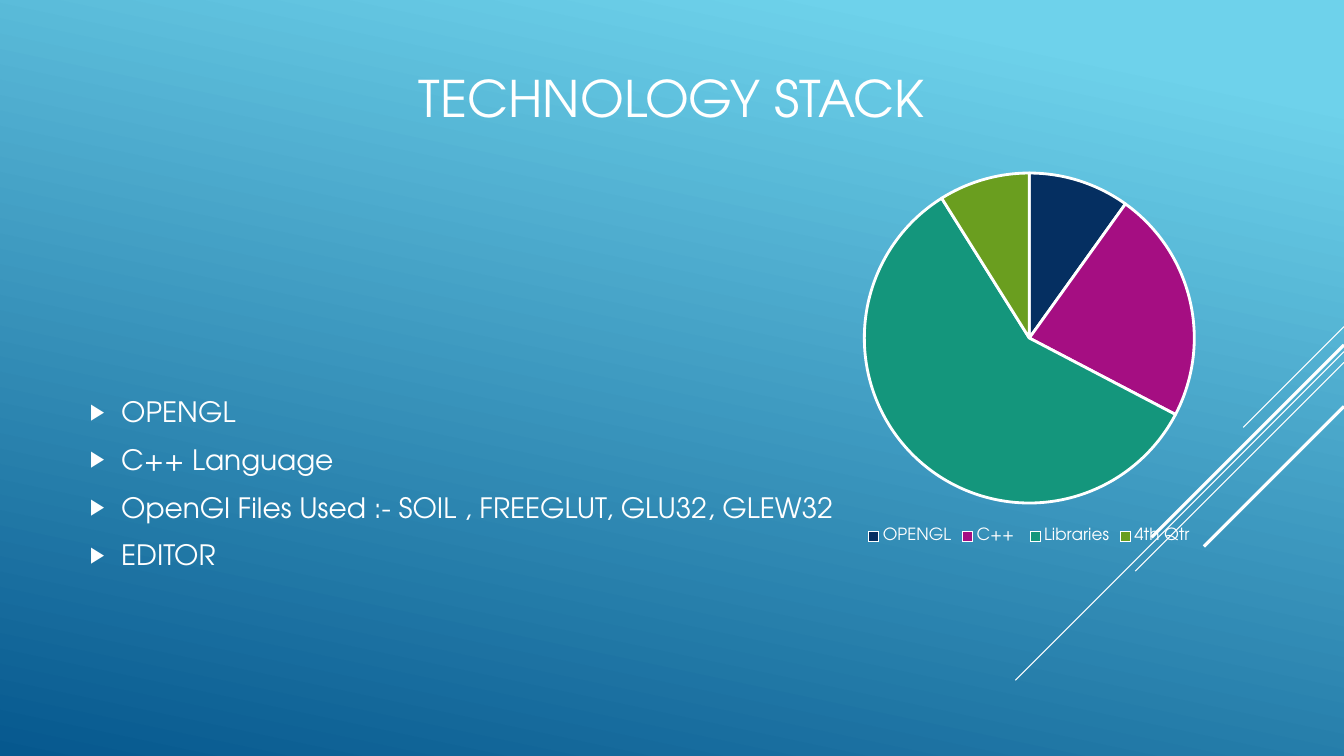
from dataclasses import dataclass

from lxml.etree import SubElement
from pptx import Presentation
from pptx.chart.data import CategoryChartData
from pptx.dml.color import RGBColor
from pptx.enum.chart import XL_CHART_TYPE, XL_LEGEND_POSITION
from pptx.enum.shapes import MSO_CONNECTOR
from pptx.enum.text import MSO_ANCHOR, MSO_AUTO_SIZE, PP_ALIGN
from pptx.oxml.ns import qn
from pptx.util import Cm, Pt

FONT = "TeX Gyre Adventor"
COLOURS = {
    "white": "FFFFFF",
    "sky": "6ED2EB",
    "deep": "06588E",
    "navy": "052F61",
    "magenta": "A50E82",
    "teal": "14967C",
    "green": "6A9E1F",
}
PAGE_WIDTH = 33.87
PAGE_HEIGHT = 19.05


@dataclass(frozen=True)
class Streak:
    """A diagonal from the right page edge, running down and left at 45 degrees."""
    top: float
    reach: float
    weight: float


@dataclass(frozen=True)
class Slice:
    label: str
    share: int
    colour: str


STREAKS = [
    Streak(8.23, 2.54, 0.75),
    Streak(8.86, 8.28, 0.75),
    Streak(9.13, 5.26, 0.75),
    Streak(8.69, 4.85, 2.25),
    Streak(10.24, 3.53, 2.25),
]
SLICES = [
    Slice("OPENGL", 10, "navy"),
    Slice("C++ ", 23, "magenta"),
    Slice("Libraries", 59, "teal"),
    Slice("4th Qtr", 9, "green"),
]
STACK = [
    "OPENGL",
    "C++ Language",
    "OpenGl Files Used :- SOIL , FREEGLUT, GLU32, GLEW32",
    "EDITOR",
]


def colour(name: str) -> RGBColor:
    return RGBColor.from_string(COLOURS[name])


def style_font(font, size: float) -> None:
    font.name = FONT
    font.size = Pt(size)
    font.color.rgb = colour("white")


def place(box, left: float, top: float, width: float, height: float) -> None:
    box.left, box.top, box.width, box.height = map(Cm, (left, top, width, height))
    box.text_frame.word_wrap = True
    box.text_frame.auto_size = MSO_AUTO_SIZE.NONE
    box.text_frame.vertical_anchor = MSO_ANCHOR.MIDDLE


def paint_background(page) -> None:
    fill = page.background.fill
    fill.gradient()
    fill.gradient_angle = 258
    for stop, position, name in zip(fill.gradient_stops, (0.1, 1), ("sky", "deep")):
        stop.position = position
        stop.color.rgb = colour(name)


def draw_streak(page, streak: Streak) -> None:
    line = page.shapes.add_connector(
        MSO_CONNECTOR.STRAIGHT,
        Cm(PAGE_WIDTH), Cm(streak.top),
        Cm(PAGE_WIDTH - streak.reach), Cm(streak.top + streak.reach),
    )
    line.line.color.rgb = colour("white")
    line.line.width = Pt(streak.weight)
    SubElement(line._element.spPr, qn("a:effectLst"))


def add_bullet(paragraph) -> None:
    properties = paragraph._p.get_or_add_pPr()
    properties.set("marL", str(Cm(0.79)))
    properties.set("indent", str(-Cm(0.79)))
    bullet_colour = SubElement(properties, qn("a:buClr"))
    SubElement(bullet_colour, qn("a:srgbClr"), val=COLOURS["white"])
    SubElement(properties, qn("a:buSzPct"), val="80000")
    SubElement(properties, qn("a:buChar"), char="▶")


def write_title(page) -> None:
    title = page.shapes.title
    place(title, 5.08, 0.36, 23.7, 4.19)
    title.text_frame.text = "TECHNOLOGY STACK"
    paragraph = title.text_frame.paragraphs[0]
    paragraph.alignment = PP_ALIGN.CENTER
    style_font(paragraph.runs[0].font, 36)


def write_stack(page) -> None:
    body = page.placeholders[1]
    place(body, 2.01, 7.16, 23.7, 10.03)
    body.text_frame.text = "\n".join(STACK)
    for index, paragraph in enumerate(body.text_frame.paragraphs):
        add_bullet(paragraph)
        paragraph.space_before = Pt(4 if index else 0)
        paragraph.space_after = Pt(6)
        style_font(paragraph.runs[0].font, 20)


def draw_pie(page) -> None:
    chart_data = CategoryChartData()
    chart_data.categories = [item.label for item in SLICES]
    chart_data.add_series("Series 1", [item.share for item in SLICES])
    chart = page.shapes.add_chart(
        XL_CHART_TYPE.PIE, Cm(18.97), Cm(4.01), Cm(13.94), Cm(9.8), chart_data
    ).chart
    style_font(chart.font, 10)
    chart.has_title = False
    chart.has_legend = True
    chart.legend.position = XL_LEGEND_POSITION.BOTTOM
    chart.legend.include_in_layout = False
    style_font(chart.legend.font, 12)
    plot = chart.plots[0]
    plot.vary_by_categories = True
    for index, item in enumerate(SLICES):
        form = plot.series[0].points[index].format
        form.fill.solid()
        form.fill.fore_color.rgb = colour(item.colour)
        form.line.color.rgb = colour("white")
        form.line.width = Pt(2)


def main() -> None:
    deck = Presentation()
    deck.slide_width = Cm(PAGE_WIDTH)
    deck.slide_height = Cm(PAGE_HEIGHT)
    page = deck.slides.add_slide(deck.slide_layouts[1])
    paint_background(page)
    for streak in STREAKS:
        draw_streak(page, streak)
    write_title(page)
    write_stack(page)
    draw_pie(page)
    deck.save("out.pptx")


if __name__ == "__main__":
    main()
